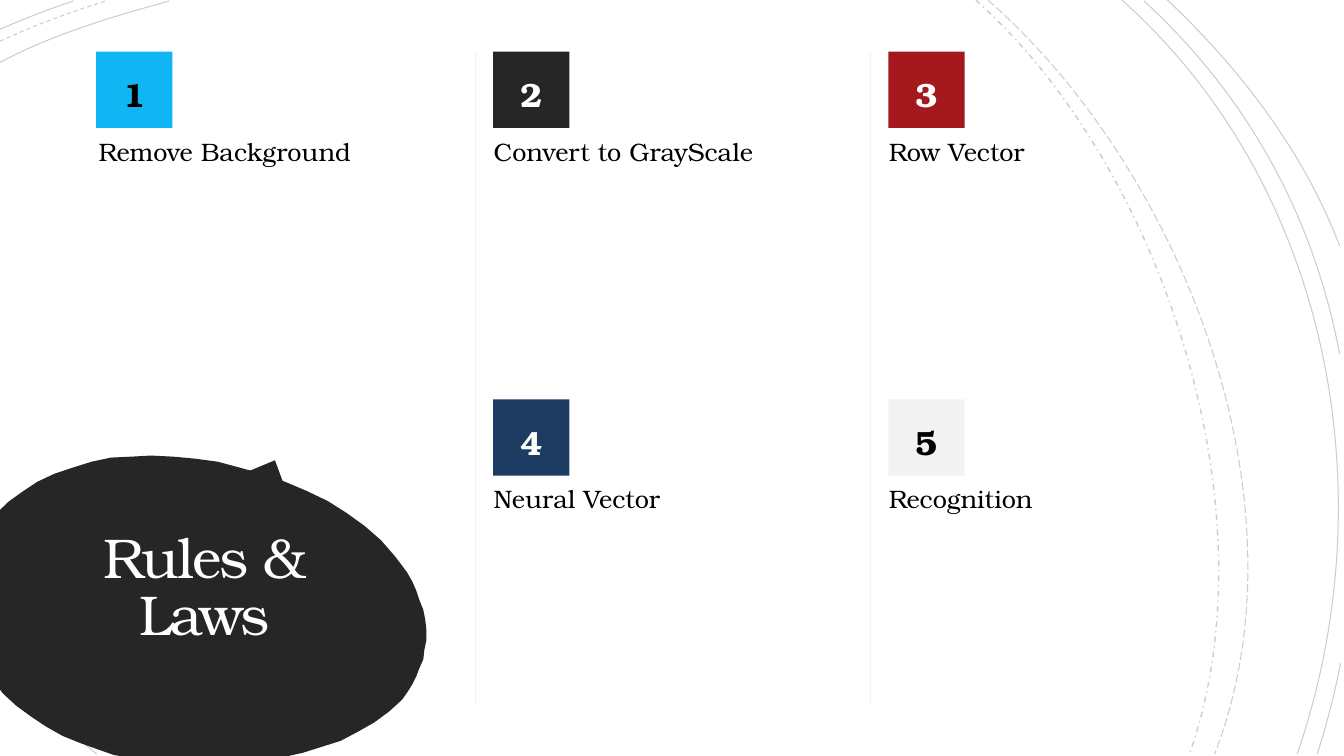
import pptx
import pptx.util
import pptx.dml.color
import pptx.enum.dml
import pptx.enum.shapes
import pptx.enum.text
import pptx.oxml.ns
from lxml import etree

Pt = pptx.util.Pt
qn = pptx.oxml.ns.qn
DASH = pptx.enum.dml.MSO_LINE
SHAPE = pptx.enum.shapes.MSO_SHAPE
ALIGN = pptx.enum.text.PP_ALIGN
ANCHOR = pptx.enum.text.MSO_ANCHOR

# Content: number, label, column, row, fill, number colour
TITLE = "Rules & Laws"
STEPS = [
    ("1", "Remove Background", 0, 0, "10B6F4", "000000"),
    ("2", "Convert to GrayScale", 1, 0, "262626", "FFFFFF"),
    ("3", "Row Vector", 2, 0, "A3191E", "FFFFFF"),
    ("4", "Neural Vector", 1, 1, "1E3C62", "FFFFFF"),
    ("5", "Recognition", 2, 1, "F2F2F2", "000000"),
]

THEME = {
    "font": "TeX Gyre Bonum",
    "ink": "000000", "bubble": "262626", "title": "FFFFFF", "divider": "F2F2F2",
    "title_size": 40, "number_size": 24, "label_size": 18,
    "arc_opacity": 20,
}

# Background arcs: dash, width, then four Bezier control points
ARCS = [
    (DASH.SOLID, 0.75, (0, 44.6), (37.4, 24.5), (81.4, 11.5), (121, 0.7)),
    (DASH.SOLID, 0.75, (151.2, 538.6), (96.5, 496.8), (44.6, 447.8), (0, 394.6)),
    (DASH.DASH, 0.75, (0, 29.5), (24.5, 18), (50.4, 8.6), (75.6, 0.7)),
    (DASH.DASH, 0.75, (131.8, 539.3), (85, 502.6), (40.3, 460.8), (0.7, 415.4)),
    (DASH.SOLID, 0.75, (0, 20.9), (16.6, 13.7), (34.6, 6.5), (52.6, 0.7)),
    (DASH.SOLID, 0.75, (120.2, 538.6), (77.8, 504.7), (36.7, 466.6), (0, 425.5)),
    (DASH.SOLID, 0.75, (107.3, 538.6), (69.8, 506.9), (33.1, 471.6), (0, 434.2)),
    (DASH.SOLID, 0.75, (93.6, 538.6), (60.5, 510.5), (29.5, 480.2), (0, 448.6)),
    (DASH.SOLID, 0.75, (69.1, 538.6), (45.4, 519.1), (22.3, 498.2), (0, 476.6)),
    (DASH.DASH_DOT, 1, (697, 0), (830.9, 119.5), (910.8, 366.5), (849.6, 538.6)),
    (DASH.LONG_DASH, 0.75, (705.6, 0), (844.6, 121.7), (937.4, 359.3), (867.6, 538.6)),
    (DASH.SOLID, 0.75, (801.4, 0), (950.4, 133.2), (990.7, 352.8), (926.6, 538.6)),
    (DASH.SOLID, 0.75, (817.2, 0.7), (891.4, 69.1), (938.2, 154.1), (956.9, 252.7)),
    (DASH.SOLID, 0.75, (957.6, 473.8), (953.3, 496.1), (947.5, 517.7), (941, 538.6)),
    (DASH.SOLID, 0.75, (833.8, 0), (886.3, 49.7), (931, 108), (956.9, 175.7)),
]
BUBBLE = [
    (108, 325.4), (123.8, 326.2), (139, 327.6), (155.5, 329.8), (171.4, 334.1),
    (187.2, 338.4), (203.8, 344.2), (218.9, 350.6), (234, 357.8), (247.7, 366.5),
    (260.6, 375.8), (272.2, 385.9), (282.2, 397.4), (286.6, 403.2), (290.9, 409),
    (294.5, 415.4), (297.4, 421.9), (299.5, 428.4), (302.4, 435.6), (303.8, 442.8),
    (304.6, 450), (304.6, 457.2), (303.1, 464.4), (302.4, 470.9), (299.5, 477.4),
    (297.4, 483.1), (294.5, 488.9), (290.9, 494.6), (287.3, 499.7), (277.9, 508.3),
    (267.1, 516.2), (255.6, 522.7), (243.4, 529.2), (229.7, 533.5), (216, 537.8),
    (205.9, 540), (85.7, 540), (81.4, 539.3), (69.1, 535), (56.9, 530.6),
    (44.6, 525.6), (33.1, 519.1), (22.3, 511.9), (11.5, 504), (2.2, 495.4),
    (0, 492.5), (0, 364.3), (5.8, 358.6), (15.8, 351.4), (26.6, 344.2),
    (38.9, 338.4), (51.8, 334.1), (65.5, 329.8), (79.2, 326.9), (93.6, 326.2),
]

# Layout
BADGE_LEFTS = (68.6, 352.3, 634.5)
ROW_TOPS = (36.9, 285.3)
BADGE_SIZE = 54.5
LABEL_LEFT, COLUMN_STEP = 63.4, 282.2
LABEL_DROP, LABEL_WIDTH, LABEL_HEIGHT = 56.7, 269.3, 36
DIVIDER_GAP, DIVIDER_BOTTOM = 6.5, 503.3


def rgb(value):
    return pptx.dml.color.RGBColor.from_string(value)


def assign(target, values):
    for name, value in values.items():
        setattr(target, name, value)


def paint(shape, color):
    shape.shadow.inherit = False
    shape.fill.solid()
    shape.fill.fore_color.rgb = rgb(color)
    shape.line.fill.background()


def write(shape, text, size, color, bold=False, frame_format=None, paragraph_format=None):
    frame = shape.text_frame
    assign(frame, {"word_wrap": True, **(frame_format or {})})
    paragraph = frame.paragraphs[0]
    assign(paragraph, paragraph_format or {})
    run = paragraph.add_run()
    run.text = text
    assign(run.font, {"name": THEME["font"], "size": Pt(size), "bold": bold})
    run.font.color.rgb = rgb(color)
    return run


def outline(points, close):
    start, *rest = [(Pt(x), Pt(y)) for x, y in points]
    builder = slide.shapes.build_freeform(*start)
    builder.add_line_segments(rest, close=close)
    shape = builder.convert_to_shape()
    shape.shadow.inherit = False
    return shape


def bend(shape):
    """Turn the three line segments into one cubic Bezier segment."""
    geometry = shape._element.find(".//" + qn("a:path"))
    curve = etree.SubElement(geometry, qn("a:cubicBezTo"))
    for segment in geometry.findall(qn("a:lnTo")):
        curve.append(segment[0])
        geometry.remove(segment)


presentation = pptx.Presentation()
assign(presentation, {"slide_width": Pt(960), "slide_height": Pt(540)})
slide = presentation.slides.add_slide(presentation.slide_layouts[6])

# Background arcs
for dash, width, *controls in ARCS:
    arc = outline(controls, close=False)
    bend(arc)
    arc.fill.background()
    arc.line.color.rgb = rgb(THEME["ink"])
    assign(arc.line, {"width": Pt(width), "dash_style": dash})
    line_color = arc._element.spPr.find(qn("a:ln")).find(".//" + qn("a:srgbClr"))
    etree.SubElement(line_color, qn("a:alpha"), val=str(THEME["arc_opacity"] * 1000))

# Title bubble and its pointer
pointer = slide.shapes.add_shape(SHAPE.ISOSCELES_TRIANGLE,
                                 Pt(124.6), Pt(326.2), Pt(118.8), Pt(61.9))
pointer.rotation = 23.6
paint(pointer, THEME["bubble"])
paint(outline(BUBBLE, close=True), THEME["bubble"])

# Column dividers
for column in (1, 2):
    x = Pt(LABEL_LEFT + column * COLUMN_STEP - DIVIDER_GAP)
    divider = slide.shapes.add_connector(pptx.enum.shapes.MSO_CONNECTOR.STRAIGHT,
                                         x, Pt(ROW_TOPS[0]), x, Pt(DIVIDER_BOTTOM))
    divider.line.color.rgb = rgb(THEME["divider"])
    divider.line.width = Pt(0.25)
    etree.SubElement(divider._element.spPr, qn("a:effectLst"))

# Title
title = slide.shapes.add_textbox(Pt(23.6), Pt(324.7), Pt(244.8), Pt(193.7))
margins = {f"margin_{side}": Pt(18) for side in ("left", "right", "top", "bottom")}
title_run = write(title, TITLE, THEME["title_size"], THEME["title"],
                  frame_format={"vertical_anchor": ANCHOR.MIDDLE, **margins},
                  paragraph_format={"alignment": ALIGN.CENTER, "line_spacing": 0.85})
title_run.font._element.set("spc", "-150")

# Numbered steps
for number, label, column, row, fill, number_color in STEPS:
    top = ROW_TOPS[row]
    badge = slide.shapes.add_shape(SHAPE.RECTANGLE, Pt(BADGE_LEFTS[column]), Pt(top),
                                   Pt(BADGE_SIZE), Pt(BADGE_SIZE))
    paint(badge, fill)
    write(badge, number, THEME["number_size"], number_color, bold=True,
          frame_format={"vertical_anchor": ANCHOR.MIDDLE},
          paragraph_format={"alignment": ALIGN.CENTER, "line_spacing": 1.2,
                            "space_before": Pt(10)})
    caption = slide.shapes.add_textbox(Pt(LABEL_LEFT + column * COLUMN_STEP),
                                       Pt(top + LABEL_DROP), Pt(LABEL_WIDTH), Pt(LABEL_HEIGHT))
    write(caption, label, THEME["label_size"], THEME["ink"],
          paragraph_format={"space_before": Pt(10)})

presentation.save("out.pptx")
